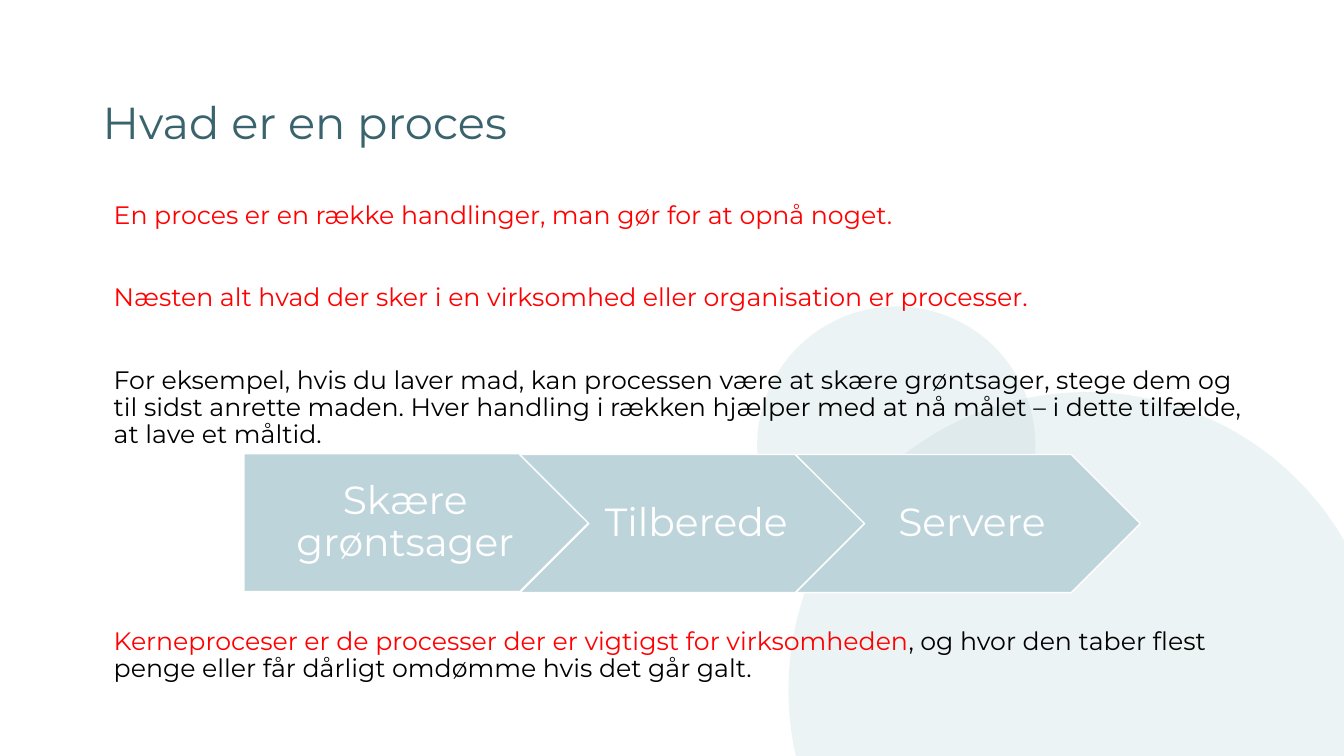
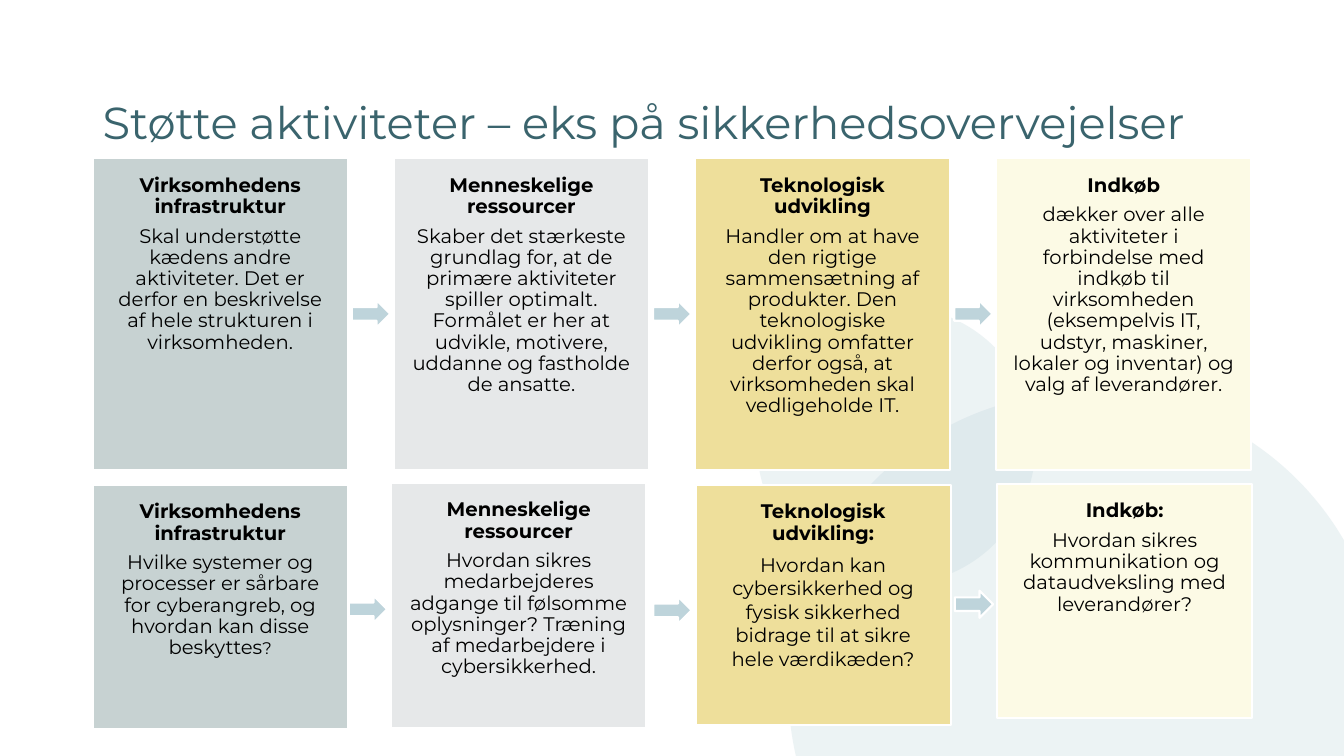
"""Build two slides about processes and support activities."""
from dataclasses import dataclass

from lxml.etree import SubElement
from pptx import Presentation
from pptx.dml.color import RGBColor
from pptx.enum.shapes import MSO_SHAPE
from pptx.enum.text import MSO_ANCHOR, PP_ALIGN
from pptx.oxml.ns import qn
from pptx.util import Inches, Pt


@dataclass(frozen=True)
class Theme:
    font: str = "Montserrat"
    title: RGBColor = RGBColor.from_string("3A646D")
    accent: RGBColor = RGBColor.from_string("BED4DB")
    emphasis: RGBColor = RGBColor.from_string("FF0000")
    black: RGBColor = RGBColor.from_string("000000")
    white: RGBColor = RGBColor.from_string("FFFFFF")
    sage: RGBColor = RGBColor.from_string("C7D2D2")
    grey: RGBColor = RGBColor.from_string("E6E8E9")
    gold: RGBColor = RGBColor.from_string("EEDF9B")
    cream: RGBColor = RGBColor.from_string("FCFAE5")
    title_size: int = 32
    step_size: int = 28
    body_size: int = 18
    card_size: int = 14
    small_size: int = 12


theme = Theme()


def add_panel(slide, kind, box, fill, line_width):
    shape = slide.shapes.add_shape(kind, *(Inches(value) for value in box))
    shape.shadow.inherit = False
    shape.fill.solid()
    shape.fill.fore_color.rgb = fill
    if line_width:
        shape.line.color.rgb = theme.white
        shape.line.width = Pt(line_width)
    else:
        shape.line.fill.background()
    return shape


def write_text(shape, paragraphs, anchor=MSO_ANCHOR.TOP, margins=(0.1, 0.05, 0.1, 0.05)):
    frame = shape.text_frame
    frame.word_wrap = True
    frame.vertical_anchor = anchor
    for side, margin in zip(("left", "top", "right", "bottom"), margins):
        setattr(frame, f"margin_{side}", Inches(margin))
    for index, (paragraph_format, runs) in enumerate(paragraphs):
        paragraph = frame.add_paragraph() if index else frame.paragraphs[0]
        for name, value in {"line_spacing": 0.9, **paragraph_format}.items():
            setattr(paragraph, name, value)
        for text, size, color, bold in runs:
            run = paragraph.add_run()
            run.text = text
            run.font.color.rgb = color
            for name, value in {"name": theme.font, "size": Pt(size), "bold": bold}.items():
                setattr(run.font, name, value)


presentation = Presentation()
presentation.slide_width = Inches(13.33)
presentation.slide_height = Inches(7.5)

slides = []
for title in ("Hvad er en proces", "Støtte aktiviteter – eks på sikkerhedsovervejelser"):
    slide = presentation.slides.add_slide(presentation.slide_layouts[6])
    for left, top, diameter in ((7.82, 3.89, 5.91), (7.51, 3.04, 2.76)):
        circle = add_panel(slide, MSO_SHAPE.OVAL, (left, top, diameter, diameter), theme.accent, 0)
        color = circle.element.spPr.find(".//" + qn("a:srgbClr"))
        SubElement(color, qn("a:alpha")).set("val", "28000")
    title_box = slide.shapes.add_textbox(Inches(0.92), Inches(0.73), Inches(11.5), Inches(1.01))
    write_text(title_box, [({}, [(title, theme.title_size, theme.title, False)])], MSO_ANCHOR.MIDDLE)
    slides.append(slide)
process_slide, support_slide = slides

body_paragraphs = [
    (0, [("En proces er en række handlinger, man gør for at opnå noget.", theme.emphasis)]),
    (39.5, [("Næsten alt hvad der sker i en virksomhed eller organisation er processer.", theme.emphasis)]),
    (39.5, [(
        "For eksempel, hvis du laver mad, kan processen være at skære grøntsager, stege dem og "
        "til sidst anrette maden. Hver handling i rækken hjælper med at nå målet – i dette "
        "tilfælde, at lave et måltid.", theme.black)]),
    (128, [
        ("Kerneproceser er de processer der er vigtigst for virksomheden", theme.emphasis),
        (", og hvor den taber flest penge eller får dårligt omdømme hvis det går galt.", theme.black)]),
]
body_box = process_slide.shapes.add_textbox(Inches(1.03), Inches(1.96), Inches(11.5), Inches(4.81))
write_text(body_box, [
    ({"space_before": Pt(gap)}, [(text, theme.body_size, color, False) for text, color in runs])
    for gap, runs in body_paragraphs
])

steps = [
    ("Skære grøntsager", MSO_SHAPE.PENTAGON, 4.5, 0.16),
    ("Tilberede", MSO_SHAPE.CHEVRON, 4.51, 0.12),
    ("Servere", MSO_SHAPE.CHEVRON, 4.51, 0.12),
]
for index, (label, kind, top, left_margin) in enumerate(steps):
    step = add_panel(process_slide, kind, (2.42 + 2.735 * index, top, 3.42, 1.37), theme.accent, 1)
    write_text(
        step,
        [({"alignment": PP_ALIGN.CENTER}, [(label, theme.step_size, theme.white, False)])],
        MSO_ANCHOR.MIDDLE,
        (left_margin, 0.08, 0.04, 0.08),
    )

card_fills = (theme.sage, theme.grey, theme.gold, theme.cream)
card_width = 2.53
card_rows = [
    {
        "boxes": [(0.92 + 2.987 * column, 1.57, 3.09) for column in range(4)],
        "arrows": [(3.49 + 2.987 * column, 2.98) for column in range(3)],
        "texts": [
            ("Virksomhedens infrastruktur",
             "Skal understøtte kædens andre aktiviteter. Det er derfor en beskrivelse af hele "
             "strukturen i virksomheden."),
            ("Menneskelige ressourcer",
             "Skaber det stærkeste grundlag for, at de primære aktiviteter spiller optimalt. "
             "Formålet er her at udvikle, motivere, uddanne og fastholde de ansatte."),
            ("Teknologisk udvikling",
             "Handler om at have den rigtige sammensætning af produkter. Den teknologiske "
             "udvikling omfatter derfor også, at virksomheden skal vedligeholde IT."),
            ("Indkøb",
             "dækker over alle aktiviteter i forbindelse med indkøb til virksomheden (eksempelvis "
             "IT, udstyr, maskiner, lokaler og inventar) og valg af leverandører."),
        ],
        "endings": ("", "", "", ""),
        "spacings": (0.9, 0.9, 0.9, 0.9),
    },
    {
        "boxes": [(0.92, 4.81, 2.42), (3.88, 4.79, 2.43), (6.9, 4.81, 2.38), (9.89, 4.8, 2.32)],
        "arrows": [(3.46, 5.91), (6.48, 5.92), (9.47, 5.86)],
        "texts": [
            ("Virksomhedens infrastruktur",
             "Hvilke systemer og processer er sårbare for cyberangreb, og hvordan kan disse beskyttes"),
            ("Menneskelige ressourcer",
             "Hvordan sikres medarbejderes adgange til følsomme oplysninger? Træning af "
             "medarbejdere i cybersikkerhed."),
            ("Teknologisk udvikling:",
             "Hvordan kan cybersikkerhed og fysisk sikkerhed bidrage til at sikre hele værdikæden?"),
            ("Indkøb:",
             "Hvordan sikres kommunikation og dataudveksling med leverandører?"),
        ],
        "endings": ("?", "", "", ""),
        "spacings": (0.9, 0.9, 1.0, 0.9),
    },
]
for row in card_rows:
    for (left, top, height), fill, (heading, body), ending, spacing in zip(
        row["boxes"], card_fills, row["texts"], row["endings"], row["spacings"]
    ):
        card = add_panel(support_slide, MSO_SHAPE.RECTANGLE, (left, top, card_width, height), fill, 1.5)
        runs = [(body, theme.card_size, theme.black, False)]
        if ending:
            runs.append((ending, theme.small_size, theme.black, False))
        centred = {"alignment": PP_ALIGN.CENTER, "space_after": Pt(6)}
        write_text(
            card,
            [
                (centred, [(heading, theme.card_size, theme.black, True)]),
                ({**centred, "line_spacing": spacing}, runs),
            ],
            margins=(0.17, 0.17, 0.17, 0.17),
        )
    for left, top in row["arrows"]:
        add_panel(support_slide, MSO_SHAPE.RIGHT_ARROW, (left, top, 0.38, 0.27), theme.accent, 1.5)

presentation.save("out.pptx")
